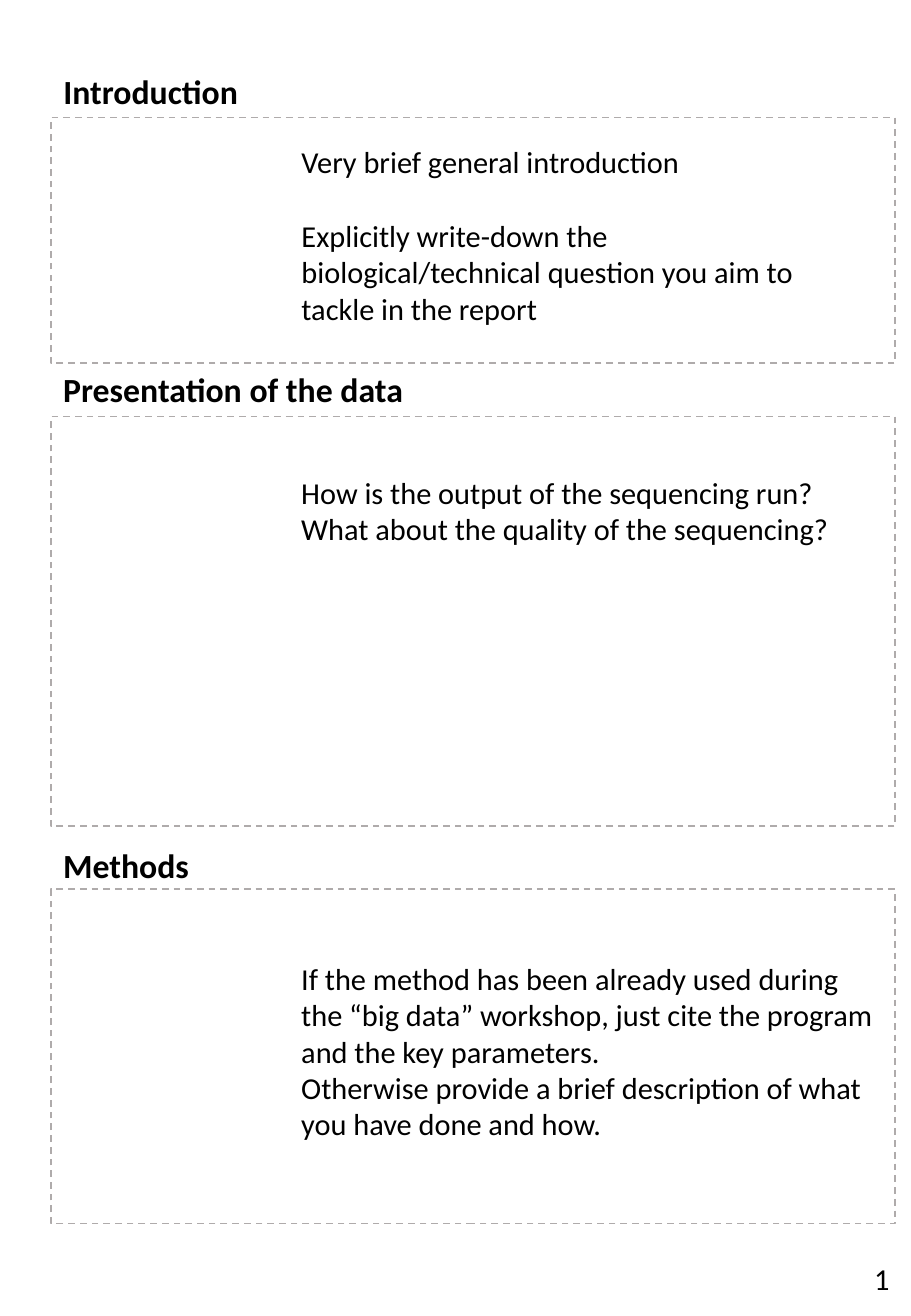
from dataclasses import dataclass

from lxml import etree
from pptx import Presentation
from pptx import util as u
from pptx.dml.color import RGBColor
from pptx.enum import dml, shapes, text
from pptx.oxml import ns


@dataclass(frozen=True)
class Theme:
    font: str = "Calibri"
    ink: RGBColor = RGBColor(0x00, 0x00, 0x00)
    frame: RGBColor = RGBColor(0xAF, 0xAB, 0xAB)
    heading_size: int = 20
    body_size: int = 18
    blank_line: int = 22
    frame_line: int = 1


class ReportPage:
    left, width = 1.07, 17.65
    body_left = 6.05
    heading_height = 1.12

    def __init__(self, slide, theme):
        self.slide = slide
        self.theme = theme

    def set_text(self, box, paragraphs, size, bold=False, wrap=True, gap=0):
        """Fill a box or placeholder with plain, left-aligned paragraphs."""
        frame = box.text_frame
        frame.text = "\n".join(paragraphs)
        frame.word_wrap = wrap
        frame.auto_size = text.MSO_AUTO_SIZE.SHAPE_TO_FIT_TEXT
        frame.vertical_anchor = text.MSO_ANCHOR.TOP
        for number, paragraph in enumerate(frame.paragraphs):
            properties = paragraph._p.get_or_add_pPr()
            properties.set("marL", "0")
            properties.set("indent", "0")
            etree.SubElement(properties, ns.qn("a:buNone"))
            paragraph.alignment = text.PP_ALIGN.LEFT
            paragraph.space_before = u.Pt(gap if number else 0)
            for run in paragraph.runs:
                run.font.name = self.theme.font
                run.font.size = u.Pt(size)
                run.font.bold = bold
                run.font.color.rgb = self.theme.ink

    def box(self, left, top, width, height, placeholder=None):
        """Place a text box, or move a placeholder there."""
        place = [u.Cm(value) for value in (left, top, width, height)]
        if placeholder is None:
            return self.slide.shapes.add_textbox(*place)
        (placeholder.left, placeholder.top,
         placeholder.width, placeholder.height) = place
        return placeholder

    def heading(self, words, top, width, placeholder=None):
        box = self.box(self.left, top, width, self.heading_height, placeholder)
        self.set_text(box, [words], self.theme.heading_size, bold=True, wrap=False)

    def body(self, paragraphs, top, width, height, gap=0, placeholder=None):
        box = self.box(self.body_left, top, width, height, placeholder)
        self.set_text(box, paragraphs, self.theme.body_size, gap=gap)

    def frame(self, top, height):
        shape = self.slide.shapes.add_shape(
            shapes.MSO_SHAPE.RECTANGLE, u.Cm(self.left), u.Cm(top),
            u.Cm(self.width), u.Cm(height))
        shape.shadow.inherit = False
        shape.fill.background()
        shape.line.color.rgb = self.theme.frame
        shape.line.width = u.Pt(self.theme.frame_line)
        shape.line.dash_style = dml.MSO_LINE.DASH

    def page_number(self, number):
        box = self.box(18.03, 26.21, 1.02, 1.02)
        self.set_text(box, [number], self.theme.body_size)


def main():
    presentation = Presentation()
    presentation.slide_width = u.Cm(19.05)
    presentation.slide_height = u.Cm(27.51)
    slide = presentation.slides.add_slide(presentation.slide_layouts[1])
    theme = Theme()
    page = ReportPage(slide, theme)

    # Introduction
    page.frame(2.46, 5.13)
    page.heading("Introduction", 1.35, 4.19, slide.shapes.title)
    page.body(["Very brief general introduction",
               "Explicitly write-down the biological/technical question "
               "you aim to tackle in the report"],
              2.87, 11.99, 4.11, theme.blank_line, slide.placeholders[1])

    # Presentation of the data
    page.frame(8.71, 8.56)
    page.heading("Presentation of the data", 7.59, 7.7)
    page.body(["How is the output of the sequencing run?",
               "What about the quality of the sequencing?"],
              9.78, 11.99, 1.8)

    # Methods
    page.frame(18.59, 6.99)
    page.heading("Methods", 17.53, 3.18)
    page.body(["If the method has been already used during the “big data” "
               "workshop, just cite the program and the key parameters.",
               "Otherwise provide a brief description of what you have done "
               "and how."],
              19.94, 12.5, 4.11)

    # Footer
    page.page_number("1")
    presentation.save("out.pptx")


if __name__ == "__main__":
    main()
